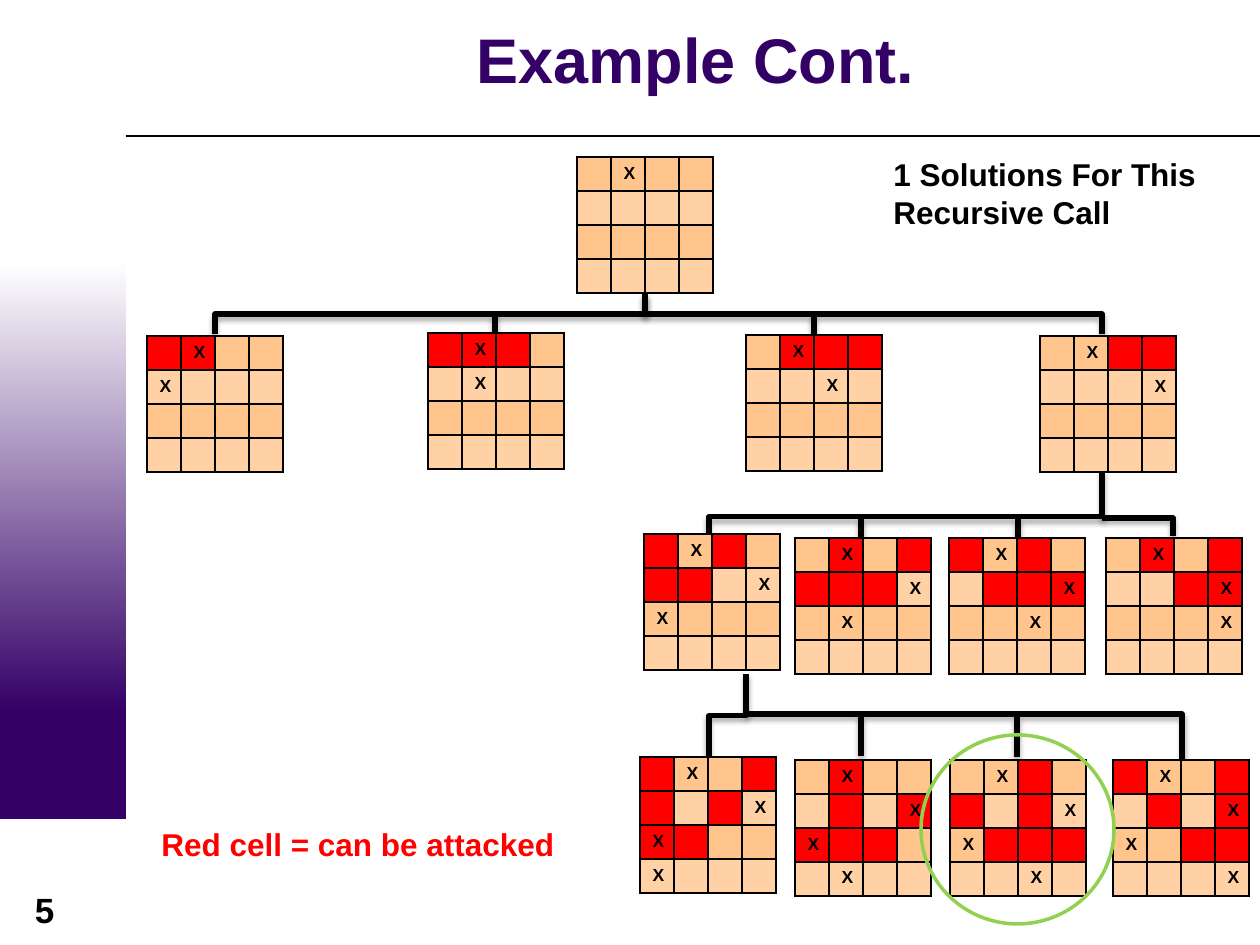
import pptx
import pptx.util
import pptx.dml.color
import pptx.enum.shapes
import pptx.enum.text
import pptx.oxml
import pptx.oxml.ns

SCALE = 914400 // 126
CELL = 34
FONT = "Arial"
COLORS = {
    "purple": "330066", "white": "FFFFFF", "black": "000000", "red": "FF0000",
    "green": "92D050", "dark cell": "FFC58D", "light cell": "FFD1A4",
}
ALIGN = pptx.enum.text.PP_ALIGN
SHAPES = pptx.enum.shapes.MSO_SHAPE
LINES = pptx.enum.shapes.MSO_CONNECTOR
NAMESPACE = pptx.oxml.ns.nsdecls("a")

# Each board: left, top, rows. R = attacked, X = queen, Q = attacked queen.
BOARDS = [
    (577, 157, ".X.. .... .... ...."),
    (147, 336, "RQ.. X... .... ...."),
    (428, 333, "RQR. .X.. .... ...."),
    (746, 335, ".QRR ..X. .... ...."),
    (1040, 336, ".XRR ...X .... ...."),
    (644, 534, "RXR. RR.X X... ...."),
    (795, 538, ".Q.R RRRX .X.. ...."),
    (949, 538, "RXR. .RRQ ..X. ...."),
    (1106, 538, ".Q.R ..RQ ...X ...."),
    (640, 757, "RX.R R.RX QR.. X..."),
    (795, 760, ".Q.. .R.Q QRR. .X.."),
    (950, 760, ".XR. R.RX XRRR ..X."),
    (1113, 760, "RX.R .R.Q X.RR ...X"),
]
STRAIGHT = [
    (861, 519, 861, 537), (1018, 519, 1018, 537),
    (495, 314, 495, 334), (814, 314, 814, 334),
    (861, 716, 861, 756), (1017, 717, 1017, 757),
]
# Parent point, child point, share of the drop where the line turns.
BRANCHES = [
    (1102, 470, 709, 535, 0.72), (645, 294, 215, 334, 0.5),
    (645, 294, 1102, 334, 0.5), (746, 674, 709, 757, 0.5),
]
CORNERS = [(1102, 518, 1173, 536), (746, 714, 1182, 760)]


def px(value):
    """Turn picture pixels into EMU."""
    return pptx.util.Emu(round(value * SCALE))


def color(name):
    """Look up a named colour."""
    return pptx.dml.color.RGBColor.from_string(COLORS[name])


def write(frame, text, size=18, ink="black", align=ALIGN.LEFT, spacing=None):
    """Write one bold paragraph into a text frame."""
    para = frame.paragraphs[0]
    para.alignment = align
    para.line_spacing = spacing
    span = para.add_run()
    span.text = text
    span.font.name = FONT
    span.font.size = pptx.util.Pt(size)
    span.font.bold = True
    span.font.color.rgb = color(ink)


def add_label(page, left, top, width, height, text, **style):
    """Add a wrapping text box."""
    box = page.shapes.add_textbox(px(left), px(top), px(width), px(height))
    box.text_frame.word_wrap = True
    box.text_frame.auto_size = pptx.enum.text.MSO_AUTO_SIZE.SHAPE_TO_FIT_TEXT
    write(box.text_frame, text, **style)


def add_plain_shape(page, kind, left, top, width, height):
    """Add a preset shape without shadow or line."""
    shape = page.shapes.add_shape(kind, px(left), px(top), px(width), px(height))
    shape.shadow.inherit = False
    shape.line.fill.background()
    return shape


def add_line(page, x1, y1, x2, y2, kind=LINES.STRAIGHT, width=3, shadow=True):
    """Add a black connector, with a soft shadow if wanted."""
    line = page.shapes.add_connector(kind, px(x1), px(y1), px(x2), px(y2))
    line.line.color.rgb = color("black")
    line.line.width = pptx.util.Pt(width)
    effect = (
        '<a:outerShdw blurRad="39370" dist="22860" dir="5400000" rotWithShape="0">'
        '<a:srgbClr val="000000"><a:alpha val="35000"/></a:srgbClr></a:outerShdw>'
    ) if shadow else ""
    line._element.spPr.append(
        pptx.oxml.parse_xml(f"<a:effectLst {NAMESPACE}>{effect}</a:effectLst>"))
    return line


def add_branch(page, x1, y1, x2, y2, turn):
    """Add an elbow that goes down, across and down again."""
    middle_x, middle_y = (x1 + x2) / 2, (y1 + y2) / 2
    drop, span = y2 - y1, abs(x2 - x1)
    left, top = middle_x - drop / 2, middle_y - span / 2
    line = add_line(page, left, top, left + drop, top + span, LINES.ELBOW)
    properties = line._element.spPr
    to_left = x2 < x1
    properties.xfrm.set("rot", "5400000" if to_left else "16200000")
    if not to_left:
        properties.xfrm.set("flipH", "1")
    properties.prstGeom.get_or_add_avLst().append(pptx.oxml.parse_xml(
        f'<a:gd {NAMESPACE} name="adj1" fmla="val {round(turn * 100000)}"/>'))


def add_corner(page, *ends):
    """Add an elbow that goes across and then down."""
    line = add_line(page, *ends, LINES.ELBOW)
    line._element.spPr.prstGeom.set("prst", "bentConnector2")


def format_cell(cell, mark, row):
    """Fill, outline and mark one square of a board."""
    properties = cell._tc.get_or_add_tcPr()
    for side in ("lnL", "lnR", "lnT", "lnB"):
        properties.append(pptx.oxml.parse_xml(
            f'<a:{side} {NAMESPACE} w="12700"><a:solidFill>'
            f'<a:srgbClr val="{COLORS["black"]}"/></a:solidFill></a:{side}>'))
    cell.fill.solid()
    plain = "light cell" if row % 2 else "dark cell"
    cell.fill.fore_color.rgb = color("red" if mark in "RQ" else plain)
    if mark in "XQ":
        write(cell.text_frame, "X", size=10)
    else:
        cell.text_frame.paragraphs[0]._p.append(
            pptx.oxml.parse_xml(f'<a:endParaRPr {NAMESPACE} sz="1000"/>'))


def add_board(page, left, top, layout):
    """Add a chess board as a table."""
    rows = layout.split()
    count = len(rows)
    side = px(CELL * count)
    table = page.shapes.add_table(count, count, px(left), px(top), side, side).table
    table.first_row = table.horz_banding = False
    for index, marks in enumerate(rows):
        table.rows[index].height = table.columns[index].width = px(CELL)
        for column, mark in enumerate(marks):
            format_cell(table.cell(index, column), mark, index)


def add_backdrop(page):
    """Add the side band and the rule below the title."""
    base = add_plain_shape(page, SHAPES.RECTANGLE, 0, 693, 126, 126)
    base.fill.solid()
    base.fill.fore_color.rgb = color("purple")
    fade = add_plain_shape(page, SHAPES.RECTANGLE, 0, 262, 126, 451)
    fade.fill.gradient()
    fade.fill.gradient_angle = 270
    for stop, name in zip(fade.fill.gradient_stops, ("white", "purple")):
        stop.color.rgb = color(name)
    add_line(page, 126, 136, 1260, 136, width=0.75, shadow=False)


def set_title(page, text):
    """Place and format the title."""
    title = page.shapes.title
    title.left, title.top, title.width, title.height = map(px, (131, 4, 1129, 121))
    frame = title.text_frame
    frame.margin_top = frame.margin_bottom = 0
    frame.vertical_anchor = pptx.enum.text.MSO_ANCHOR.MIDDLE
    write(frame, text, size=36, ink="purple", align=ALIGN.CENTER, spacing=0.85)


def main():
    """Build and save the slide."""
    deck = pptx.Presentation()
    deck.slide_width, deck.slide_height = px(1260), px(945)
    page = deck.slides.add_slide(deck.slide_layouts[5])
    add_backdrop(page)
    set_title(page, "Example Cont.")
    add_label(page, -3, 882, 95, 55, "5", size=20, align=ALIGN.CENTER)
    for ends in STRAIGHT:
        add_line(page, *ends)
    for branch in BRANCHES:
        add_branch(page, *branch)
    for ends in CORNERS:
        add_corner(page, *ends)
    for board in BOARDS:
        add_board(page, *board)
    ring = add_plain_shape(page, SHAPES.OVAL, 921, 735, 193, 189)
    ring.fill.background()
    ring.line.color.rgb = color("green")
    ring.line.width = pptx.util.Pt(2)
    add_label(page, 881, 149, 383, 89, "1 Solutions For This Recursive Call")
    add_label(page, 149, 819, 431, 50, "Red cell = can be attacked", ink="red")
    deck.save("out.pptx")


main()
